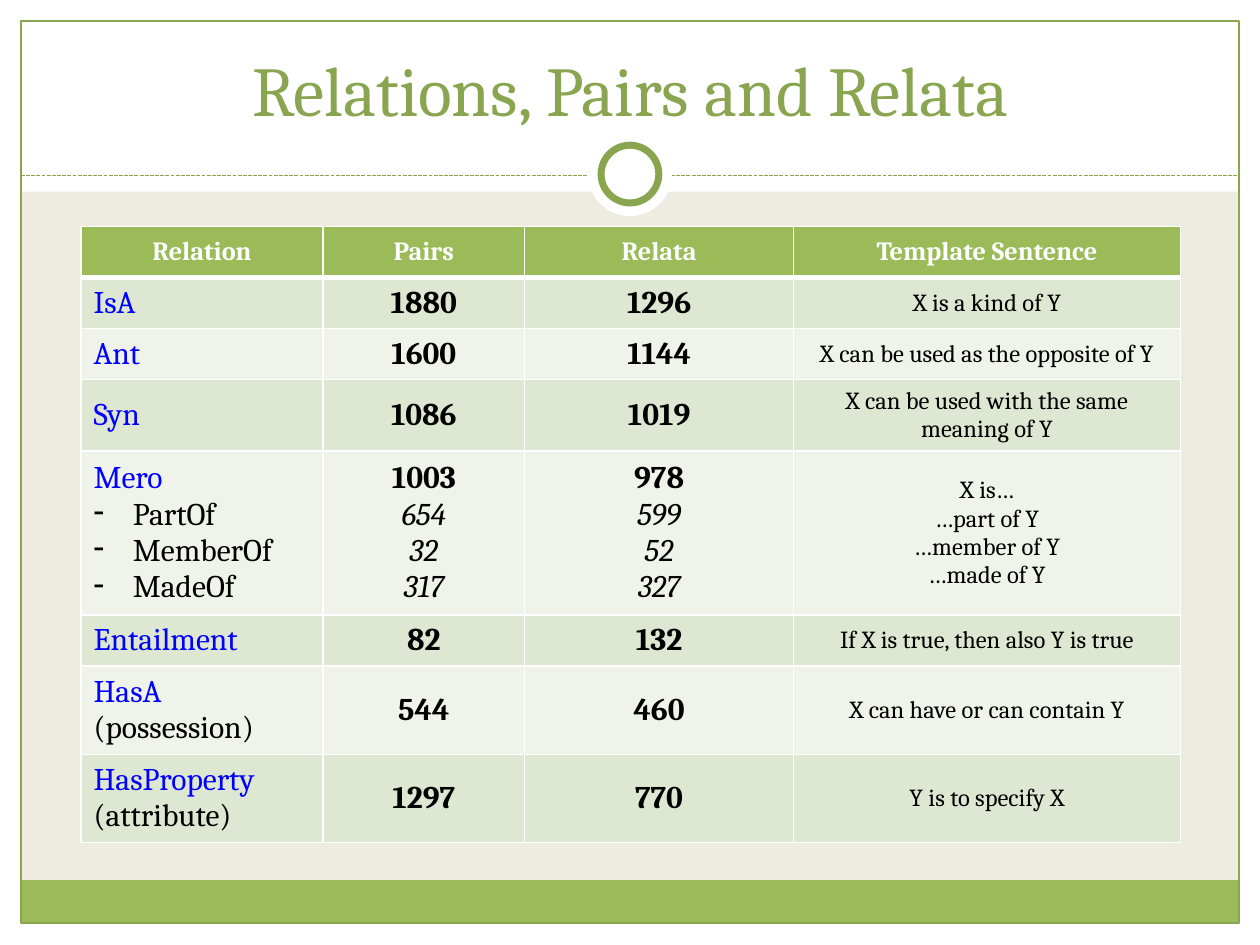
"""Build the 'Relations, Pairs and Relata' slide with its table of relations."""
import pptx
import pptx.util
import pptx.dml.color
import pptx.enum.dml
import pptx.enum.shapes
import pptx.enum.text
import pptx.oxml
import pptx.oxml.ns

Pt = pptx.util.Pt
SHAPE = pptx.enum.shapes.MSO_SHAPE
ANCHOR = pptx.enum.text.MSO_ANCHOR
ALIGN = pptx.enum.text.PP_ALIGN

COLORS = {
    "white": "FFFFFF", "beige": "EEECE1", "green": "9BBB59", "olive": "89A54F",
    "odd": "DEE7D1", "even": "EFF3EA", "blue": "0000FF", "black": "000000",
}
FONT = "Cambria"
WIDTH, HEIGHT = 720, 540
TITLE = "Relations, Pairs and Relata"
HEADER = ["Relation", "Pairs", "Relata", "Template Sentence"]
ROWS = [
    (["IsA"], ["1880"], ["1296"], ["X is a kind of Y"]),
    (["Ant"], ["1600"], ["1144"], ["X can be used as the opposite of Y"]),
    (["Syn"], ["1086"], ["1019"], ["X can be used with the same meaning of Y"]),
    (["Mero", "PartOf", "MemberOf", "MadeOf"], ["1003", "654", "32", "317"],
     ["978", "599", "52", "327"],
     ["X is…", "…part of Y", "…member of Y", "…made of Y"]),
    (["Entailment"], ["82"], ["132"], ["If X is true, then also Y is true"]),
    (["HasA", "(possession)"], ["544"], ["460"], ["X can have or can contain Y"]),
    (["HasProperty", "(attribute)"], ["1297"], ["770"], ["Y is to specify X"]),
]
COL_WIDTHS = [138.3, 115.3, 153.6, 221.2]
ROW_HEIGHT = 29.2
TABLE_LEFT, TABLE_TOP = 46.3, 129.4
INDENT = 22.5

EDGE = 12
PANELS = [
    (SHAPE.RECTANGLE, 0, 528, WIDTH, EDGE, "white", None, 0),
    (SHAPE.RECTANGLE, 0, 0, WIDTH, 109.5, "white", None, 0),
    (SHAPE.RECTANGLE, 0, 0, EDGE, HEIGHT, "white", None, 0),
    (SHAPE.RECTANGLE, WIDTH - EDGE, 0, EDGE, HEIGHT, "white", None, 0),
    (SHAPE.RECTANGLE, EDGE, 503, WIDTH - 2 * EDGE, 24.5, "green", None, 0),
    (SHAPE.RECTANGLE, EDGE, EDGE, WIDTH - 2 * EDGE, 515.5, None, "olive", 0.75),
]
RINGS = [
    (SHAPE.OVAL, 336, 75.5, 48, 48, "white", None, 0),
    (SHAPE.OVAL, 343.5, 83, 33, 33, "white", "olive", 4),
]


def rgb(name):
    return pptx.dml.color.RGBColor.from_string(COLORS[name])


def paint(fill, name):
    if name:
        fill.solid()
        fill.fore_color.rgb = rgb(name)
    else:
        fill.background()


def add_panel(slide, kind, left, top, width, height, fill, line, weight):
    sp = slide.shapes.add_shape(kind, Pt(left), Pt(top), Pt(width), Pt(height))
    sp.shadow.inherit = False
    paint(sp.fill, fill)
    paint(sp.line.fill, line)
    if line:
        sp.line.width = Pt(weight)


def add_divider(slide, y):
    line = slide.shapes.add_connector(
        pptx.enum.shapes.MSO_CONNECTOR.STRAIGHT, Pt(EDGE), Pt(y), Pt(WIDTH - EDGE), Pt(y))
    line.line.color.rgb = rgb("olive")
    line.line.width = Pt(0.75)
    line.line.dash_style = pptx.enum.dml.MSO_LINE.SQUARE_DOT
    spPr = line._element.spPr
    spPr.append(spPr.makeelement(pptx.oxml.ns.qn("a:effectLst"), {}))


def write(p, text, align, color, **format_values):
    p.alignment = align
    r = p.add_run()
    r.text = text
    r.font.color.rgb = rgb(color)
    for name, value in {"name": FONT, **format_values}.items():
        setattr(r.font, name, value)


def add_title(slide):
    sp = slide.shapes.add_textbox(Pt(24), Pt(18), Pt(672), Pt(60))
    tf = sp.text_frame
    tf.word_wrap = True
    tf.vertical_anchor = ANCHOR.BOTTOM
    write(tf.paragraphs[0], TITLE, ALIGN.CENTER, "olive", size=Pt(40))


def add_dash(p):
    pPr = p._p.get_or_add_pPr()
    pPr.set("marL", str(Pt(INDENT)))
    pPr.set("indent", str(-Pt(INDENT)))
    pPr.insert(0, pPr.makeelement(pptx.oxml.ns.qn("a:buChar"), {"char": "-"}))


def set_borders(cell, top, bottom):
    tcPr = cell._tc.get_or_add_tcPr()
    weights = {"lnL": 1, "lnR": 1, "lnT": top, "lnB": bottom}
    for i, (side, weight) in enumerate(weights.items()):
        tcPr.insert(i, pptx.oxml.parse_xml(
            f'<a:{side} {pptx.oxml.ns.nsdecls("a")} w="{Pt(weight)}"><a:solidFill>'
            f'<a:srgbClr val="{COLORS["white"]}"/></a:solidFill></a:{side}>'))


def cell_format(row, col, line):
    if row == 0:
        return ALIGN.CENTER, "white", {"size": Pt(15), "bold": True}
    if col == 0:
        return ALIGN.LEFT, "black" if line else "blue", {"size": Pt(18), "bold": False}
    if col == 3:
        return ALIGN.CENTER, "black", {"size": Pt(14), "bold": False}
    return ALIGN.CENTER, "black", {"size": Pt(18), "bold": line == 0, "italic": line > 0}


def fill_cell(cell, row, col, lines):
    paint(cell.fill, "green" if row == 0 else "odd" if row % 2 else "even")
    set_borders(cell, 3 if row == 1 else 1, 3 if row == 0 else 1)
    cell.vertical_anchor = ANCHOR.MIDDLE
    tf = cell.text_frame
    for i, text in enumerate(lines):
        p = tf.paragraphs[0] if i == 0 else tf.add_paragraph()
        align, color, values = cell_format(row, col, i)
        write(p, text, align, color, **values)
        if col == 0 and i and not text.startswith("("):
            add_dash(p)


def add_relations(slide):
    rows = [[[name] for name in HEADER], *ROWS]
    table = slide.shapes.add_table(
        len(rows), len(HEADER), Pt(TABLE_LEFT), Pt(TABLE_TOP),
        Pt(sum(COL_WIDTHS)), Pt(ROW_HEIGHT * len(rows))).table
    for column, width in zip(table.columns, COL_WIDTHS):
        column.width = Pt(width)
    for i, cells in enumerate(rows):
        table.rows[i].height = Pt(ROW_HEIGHT)
        for j, lines in enumerate(cells):
            fill_cell(table.cell(i, j), i, j, lines)


def main():
    prs = pptx.Presentation()
    prs.slide_width, prs.slide_height = Pt(WIDTH), Pt(HEIGHT)
    slide = prs.slides.add_slide(prs.slide_layouts[6])
    paint(slide.background.fill, "beige")
    for panel in PANELS:
        add_panel(slide, *panel)
    add_divider(slide, 100.5)
    for ring in RINGS:
        add_panel(slide, *ring)
    add_title(slide)
    add_relations(slide)
    prs.save("out.pptx")


if __name__ == "__main__":
    main()
